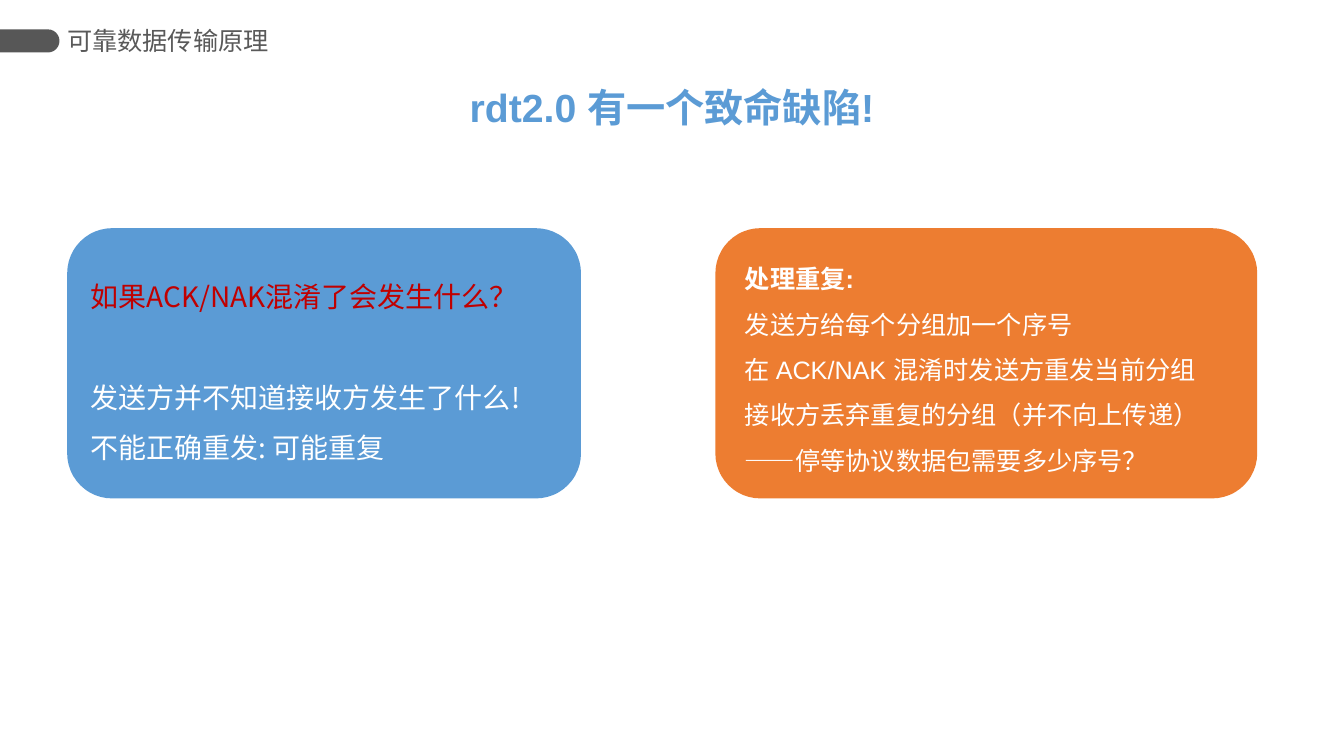
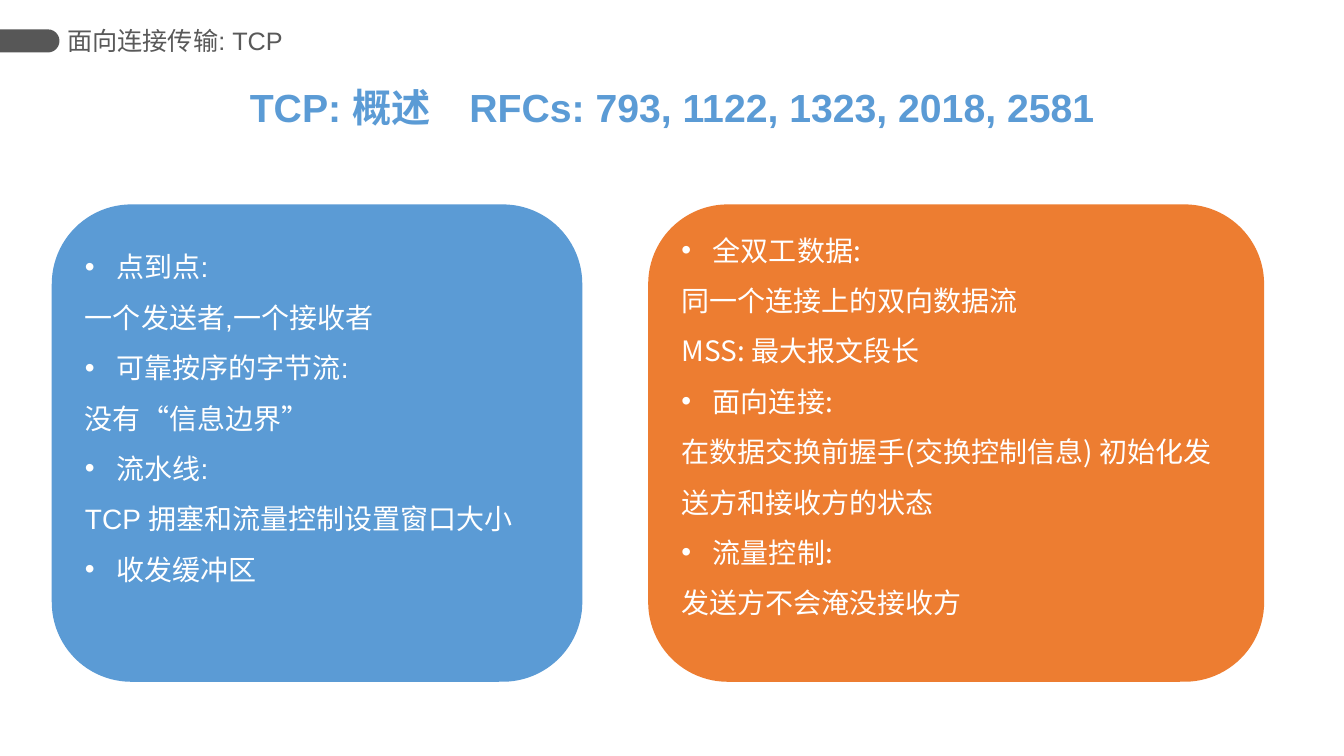
from lxml import etree
from pptx import Presentation
from pptx.dml.color import RGBColor
from pptx.enum.shapes import MSO_SHAPE
from pptx.enum.text import MSO_ANCHOR, PP_ALIGN
from pptx.oxml.ns import qn
from pptx.util import Pt

ROUNDED = MSO_SHAPE.ROUNDED_RECTANGLE
TAB = MSO_SHAPE.ROUND_2_SAME_RECTANGLE
TOP, MIDDLE = MSO_ANCHOR.TOP, MSO_ANCHOR.MIDDLE
LEFT, CENTER = PP_ALIGN.LEFT, PP_ALIGN.CENTER

SLIDE_WIDTH, SLIDE_HEIGHT = 960, 540
BLUE, ORANGE, RED = "5B9BD5", "ED7D31", "C00000"
WHITE, DARK_GRAY, GRAY = "FFFFFF", "575757", "595959"
LATIN, CHINESE = "Arial", "Noto Sans CJK SC"
BULLET = "• "
BULLET_INDENT = 22.5


def color(hex_string):
    return RGBColor.from_string(hex_string)


def add_bullet(para):
    """Give the paragraph a hanging bullet."""
    properties = para._p.get_or_add_pPr()
    properties.set("marL", str(Pt(BULLET_INDENT)))
    properties.set("indent", str(-Pt(BULLET_INDENT)))
    font = etree.SubElement(properties, qn("a:buFont"))
    font.set("typeface", LATIN)
    etree.SubElement(properties, qn("a:buChar")).set("char", BULLET.strip())


class LectureDeck:
    """Holds the deck, its style and the current slide."""

    def __init__(self):
        self.deck = Presentation()
        self.deck.slide_width = Pt(SLIDE_WIDTH)
        self.deck.slide_height = Pt(SLIDE_HEIGHT)
        self.slide = None

    def add_slide(self, section, title):
        self.slide = self.deck.slides.add_slide(self.deck.slide_layouts[6])
        self.section_tab()
        box = self.text_box(48, 14, 168, 30, [section], 18, GRAY, anchor=MIDDLE)
        box.text_frame.margin_left = box.text_frame.margin_right = 0
        self.text_box(170, 56, 620, 41, [title], 28, BLUE, bold=True, align=CENTER)

    def shape(self, kind, left, top, width, height, fill):
        shape = self.slide.shapes.add_shape(
            kind, Pt(left), Pt(top), Pt(width), Pt(height))
        shape.shadow.inherit = False
        shape.fill.solid()
        shape.fill.fore_color.rgb = color(fill)
        shape.line.fill.background()
        return shape

    def section_tab(self):
        """Draw the tab at the left edge, rounded on its right end."""
        length, thickness, middle = 42.5, 16.5, 29.25
        tab = self.shape(TAB, (length - thickness) / 2, middle - length / 2,
                         thickness, length, DARK_GRAY)
        tab.adjustments[0] = 0.5
        tab.rotation = 90

    def text_box(self, left, top, width, height, lines, size, text_color,
                 anchor=TOP, **style):
        box = self.slide.shapes.add_textbox(
            Pt(left), Pt(top), Pt(width), Pt(height))
        self.set_text(box, lines, size, text_color, anchor, **style)
        return box

    def panel(self, left, top, width, height, fill, lines=(), font=LATIN,
              space_below=0):
        panel = self.shape(ROUNDED, left, top, width, height, fill)
        if lines:
            self.set_text(panel, lines, 20, WHITE, MIDDLE, font=font, spacing=1.5)
            panel.text_frame.margin_bottom = Pt(3.6 + space_below)
        return panel

    def set_text(self, box, lines, size, text_color, anchor, font=LATIN,
                 bold=False, align=LEFT, spacing=1):
        """Fill the box; a line that starts with BULLET becomes a bullet."""
        frame = box.text_frame
        frame.word_wrap = True
        frame.vertical_anchor = anchor
        frame.text = "\n".join(line.removeprefix(BULLET) for line in lines)
        for line, para in zip(lines, frame.paragraphs):
            para.alignment = align
            para.line_spacing = spacing
            if line.startswith(BULLET):
                add_bullet(para)
            for span in para.runs:
                span.font.name = font
                span.font.size = Pt(size)
                span.font.bold = bold
                span.font.color.rgb = color(text_color)


def flaw_slide(lecture):
    lecture.add_slide("可靠数据传输原理", "rdt2.0 有一个致命缺陷!")
    top, height = 163, 193
    question = lecture.panel(48, top, 367, height, BLUE, [
        "如果ACK/NAK混淆了会发生什么？",
        "发送方并不知道接收方发生了什么!",
        "不能正确重发: 可能重复",
    ], font=CHINESE)
    first, second = question.text_frame.paragraphs[:2]
    first.runs[0].font.color.rgb = color(RED)
    second.space_before = Pt(36)

    lecture.panel(511, top, 387, height, ORANGE)
    answer = lecture.text_box(525, 174, 361, 204, [
        "处理重复:",
        "发送方给每个分组加一个序号",
        "在 ACK/NAK 混淆时发送方重发当前分组",
        "接收方丢弃重复的分组（并不向上传递）",
        "——停等协议数据包需要多少序号？",
    ], 18, WHITE, spacing=1.5)
    answer.text_frame.paragraphs[0].runs[0].font.bold = True


def overview_slide(lecture):
    lecture.add_slide("面向连接传输: TCP",
                      "TCP: 概述　RFCs: 793, 1122, 1323, 2018, 2581")
    top, height = 146, 341
    lecture.panel(37, top, 379, height, BLUE, [
        "• 点到点:",
        "一个发送者,一个接收者",
        "• 可靠按序的字节流:",
        "没有“信息边界”",
        "• 流水线:",
        "TCP 拥塞和流量控制设置窗口大小",
        "• 收发缓冲区",
    ], space_below=48)
    lecture.panel(463, top, 440, height, ORANGE, [
        "• 全双工数据:",
        "同一个连接上的双向数据流",
        "MSS: 最大报文段长",
        "• 面向连接:",
        "在数据交换前握手(交换控制信息) 初始化发送方和接收方的状态",
        "• 流量控制:",
        "发送方不会淹没接收方",
    ], font=CHINESE, space_below=36)


def main():
    lecture = LectureDeck()
    flaw_slide(lecture)
    overview_slide(lecture)
    lecture.deck.save("out.pptx")


if __name__ == "__main__":
    main()
